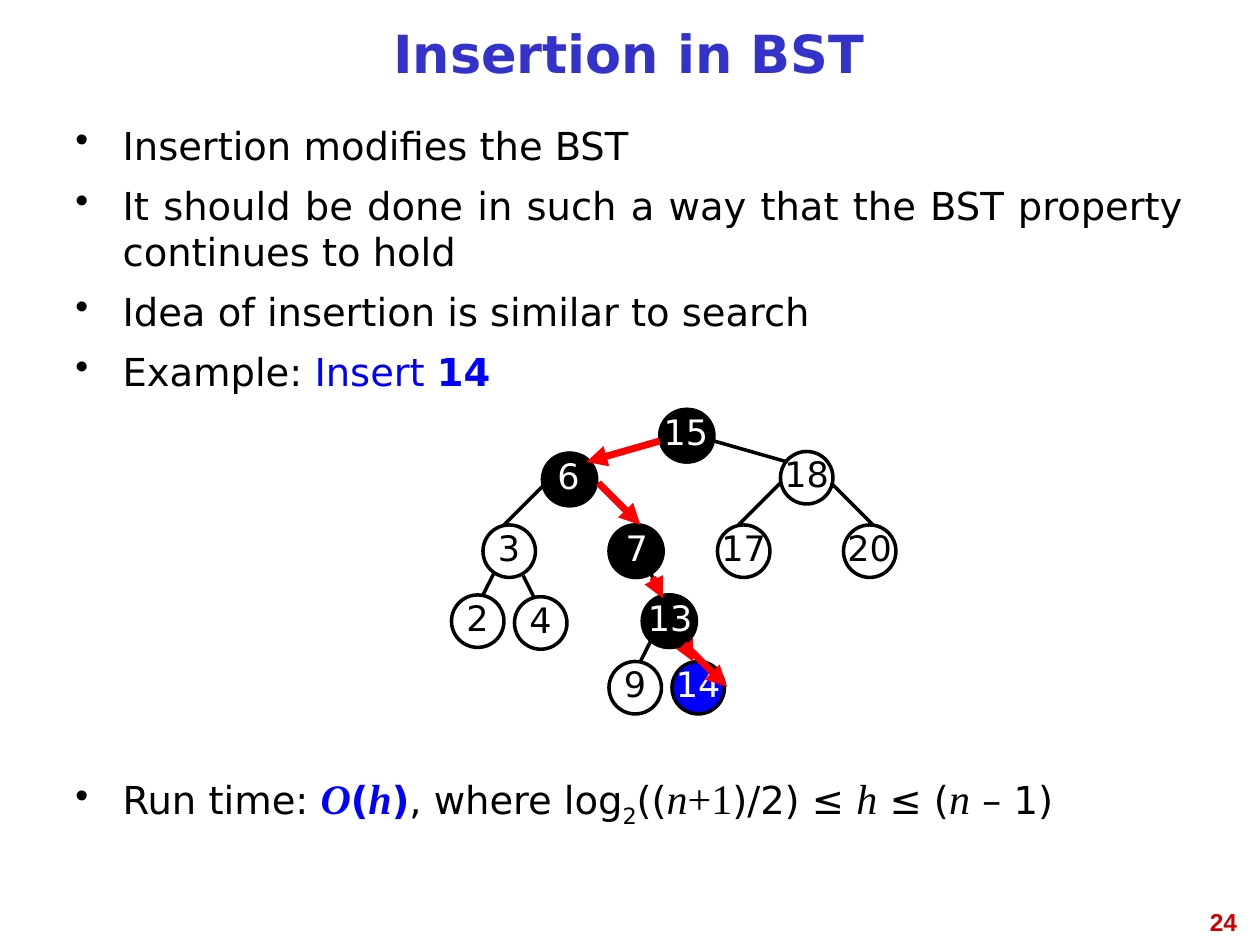
import dataclasses
import typing

import lxml.etree
import pptx
import pptx.dml.color
import pptx.enum.shapes
import pptx.enum.text
import pptx.oxml.ns
import pptx.util

Pt = pptx.util.Pt
Color = pptx.dml.color.RGBColor
Align = pptx.enum.text.PP_ALIGN
Anchor = pptx.enum.text.MSO_ANCHOR
qn = pptx.oxml.ns.qn

BLACK = Color(0x00, 0x00, 0x00)
WHITE = Color(0xFF, 0xFF, 0xFF)
BLUE = Color(0x00, 0x00, 0xFF)
RED = Color(0xFF, 0x00, 0x00)
TITLE_BLUE = Color(0x33, 0x33, 0xCC)
NUMBER_RED = Color(0xCC, 0x00, 0x00)

SANS = "DejaVu Sans"
SERIF = "Times New Roman"
NODE_SIZE = 30
BULLET_INDENT = 27
BULLET_GAP = 8
TREE_GAP = 216


@dataclasses.dataclass(frozen=True)
class Node:
    key: int
    left: float
    top: float
    fill: typing.Optional[Color] = None


@dataclasses.dataclass(frozen=True)
class Edge:
    start: tuple[float, float]
    end: tuple[float, float]


@dataclasses.dataclass(frozen=True)
class Bullet:
    spans: list[tuple[str, dict]]
    gap: float = BULLET_GAP


VARIABLE = dict(font=SERIF, size=24, italic=True)
COST = dict(color=BLUE, bold=True)

BULLETS = [
    Bullet([("Insertion modifies the BST", {})]),
    Bullet([("It should be done in such a way that the BST property continues to hold", {})]),
    Bullet([("Idea of insertion is similar to search", {})]),
    Bullet([("Example: ", {}), ("Insert ", dict(color=BLUE)), ("14", COST)]),
    Bullet([
        ("Run time: ", {}),
        ("O", VARIABLE | COST), ("(", COST), ("h", VARIABLE | COST), (")", COST),
        (", where log", {}), ("2", dict(subscript=True)), ("((", {}),
        ("n", VARIABLE), ("+1", dict(font=SERIF, size=24)), (")/2) ≤ ", {}),
        ("h", VARIABLE), (" ≤ (", {}), ("n", VARIABLE), (" – 1)", {}),
    ], gap=TREE_GAP),
]

TREE_NODES = [
    Node(15, 378, 234), Node(6, 311, 259), Node(18, 446, 258),
    Node(3, 276, 300), Node(7, 348, 300), Node(17, 410, 300), Node(20, 482, 300),
    Node(2, 258, 340), Node(4, 294, 341), Node(13, 367, 340), Node(9, 348, 378),
]

TREE_EDGES = [
    Edge((378, 252), (336, 264)), Edge((408, 252), (450, 264)),
    Edge((312, 276), (288, 300)), Edge((341, 276), (365, 300)),
    Edge((446, 276), (422, 300)), Edge((475, 276), (499, 300)),
    Edge((282, 328), (276, 340)), Edge((299, 329), (305, 341)),
    Edge((372, 328), (378, 340)), Edge((372, 366), (366, 378)),
]

# The visited nodes and the steps between them, from back to front.
SEARCH_PATH = [
    Node(15, 377, 234, BLACK),
    Node(6, 310, 259, BLACK), Edge((377, 252), (335, 264)),
    Node(7, 349, 300, BLACK), Edge((342, 276), (366, 300)),
    Node(14, 384, 378, BLUE), Edge((390, 366), (396, 378)),
    Node(13, 368, 340, BLACK), Edge((373, 330), (379, 342)),
    Edge((391, 368), (415.5, 392.5)),
]


def add_span(para, text: str, *, size: float = 22, font: str = SANS, color: Color = BLACK,
             bold: bool = False, italic: bool = False, subscript: bool = False) -> None:
    span = para.add_run()
    span.text = text
    span.font.size = Pt(size)
    span.font.name = font
    span.font.color.rgb = color
    span.font.bold = bold
    span.font.italic = italic
    if subscript:
        span.font._rPr.set("baseline", "-25000")


def add_box(page, left: float, top: float, width: float, height: float,
            anchor=Anchor.TOP):
    """Add an empty wrapping text box and return its text frame."""
    frame = page.shapes.add_textbox(Pt(left), Pt(top), Pt(width), Pt(height)).text_frame
    frame.word_wrap = True
    frame.vertical_anchor = anchor
    return frame


def add_bullet_mark(para) -> None:
    properties = para._p.get_or_add_pPr()
    properties.set("marL", str(Pt(BULLET_INDENT)))
    properties.set("indent", str(-Pt(BULLET_INDENT)))
    mark_color = lxml.etree.SubElement(properties, qn("a:buClr"))
    lxml.etree.SubElement(mark_color, qn("a:srgbClr"), val=str(BLACK))
    lxml.etree.SubElement(properties, qn("a:buChar"), char="•")


def add_bullets(page, bullets: list[Bullet]) -> None:
    frame = add_box(page, 36, 66, 647, 420)
    for index, bullet in enumerate(bullets):
        para = frame.add_paragraph() if index else frame.paragraphs[0]
        para.alignment = Align.JUSTIFY
        para.space_before = Pt(bullet.gap)
        add_bullet_mark(para)
        for text, style in bullet.spans:
            add_span(para, text, **style)


def add_node(page, node: Node) -> None:
    circle = page.shapes.add_shape(pptx.enum.shapes.MSO_SHAPE.OVAL, Pt(node.left),
                                   Pt(node.top), Pt(NODE_SIZE), Pt(NODE_SIZE))
    circle.shadow.inherit = False
    circle.line.color.rgb = BLACK
    circle.line.width = Pt(2)
    if node.fill is None:
        circle.fill.background()
    else:
        circle.fill.solid()
        circle.fill.fore_color.rgb = node.fill
    frame = circle.text_frame
    frame.word_wrap = False
    frame.vertical_anchor = Anchor.MIDDLE
    para = frame.paragraphs[0]
    para.alignment = Align.CENTER
    para.line_spacing = 0.81
    add_span(para, str(node.key), size=20, color=WHITE if node.fill is not None else BLACK)


def add_edge(page, edge: Edge, color: Color = BLACK, width: float = 2,
             arrow: bool = False) -> None:
    connector = page.shapes.add_connector(pptx.enum.shapes.MSO_CONNECTOR.STRAIGHT,
                                          *map(Pt, edge.start + edge.end))
    connector.line.color.rgb = color
    connector.line.width = Pt(width)
    properties = connector.element.spPr
    if arrow:
        lxml.etree.SubElement(properties.find(qn("a:ln")), qn("a:tailEnd"), type="triangle")
    lxml.etree.SubElement(properties, qn("a:effectLst"))


def main() -> None:
    deck = pptx.Presentation()
    deck.slide_width, deck.slide_height = Pt(720), Pt(540)
    page = deck.slides.add_slide(deck.slide_layouts[6])

    number = add_box(page, 546, 515, 168, 37).paragraphs[0]
    number.alignment = Align.RIGHT
    add_span(number, "24", size=14, font="Arial", color=NUMBER_RED, bold=True)

    title = add_box(page, 36, 6, 647, 54, Anchor.MIDDLE).paragraphs[0]
    title.alignment = Align.CENTER
    title.line_spacing = 0.81
    add_span(title, "Insertion in BST", size=30, color=TITLE_BLUE, bold=True)

    add_bullets(page, BULLETS)
    for node in TREE_NODES:
        add_node(page, node)
    for edge in TREE_EDGES:
        add_edge(page, edge)
    for step in SEARCH_PATH:
        if isinstance(step, Node):
            add_node(page, step)
        else:
            add_edge(page, step, color=RED, width=4, arrow=True)

    deck.save("out.pptx")


if __name__ == "__main__":
    main()
